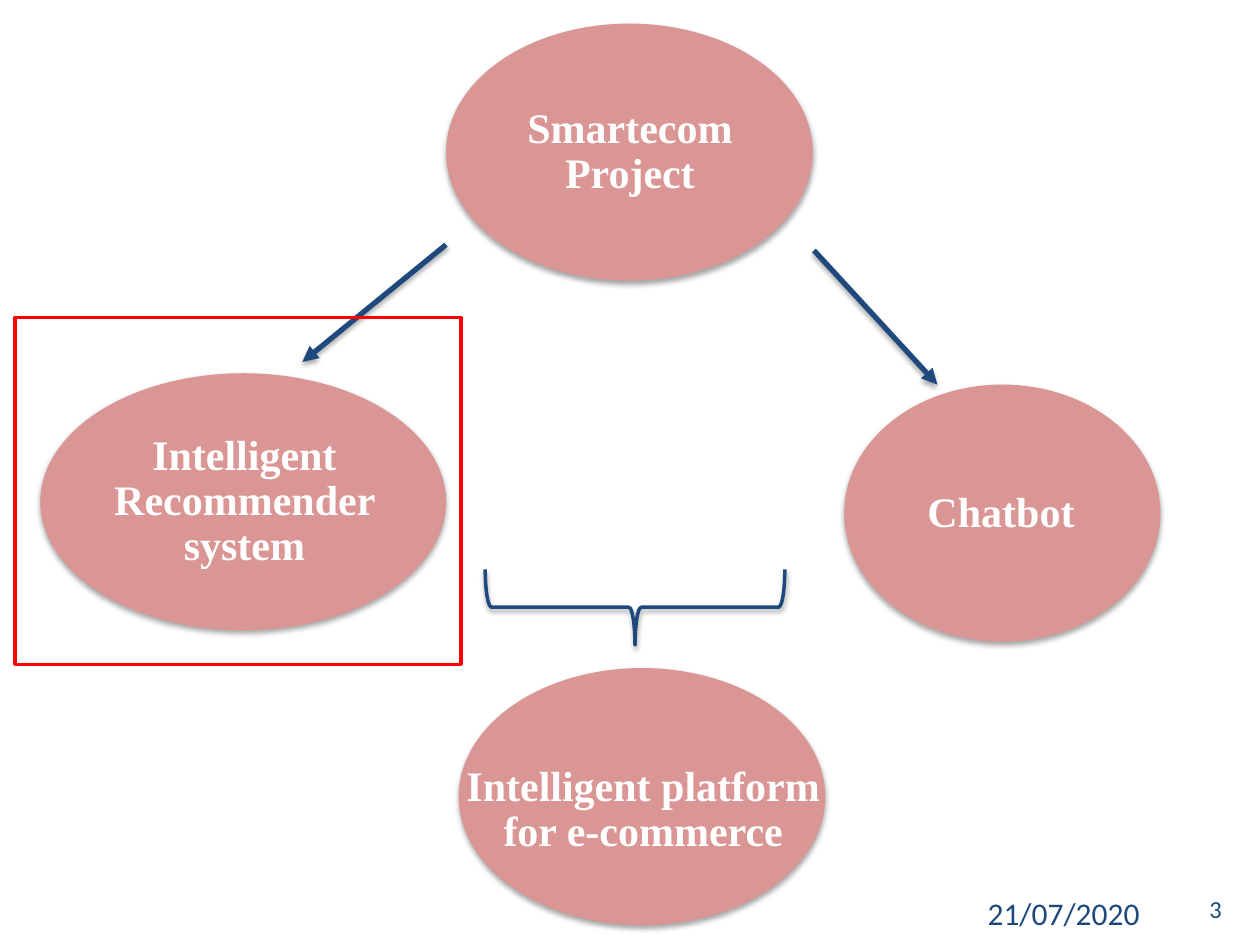
import lxml.etree
import pptx
import pptx.dml.color
import pptx.enum.shapes
import pptx.enum.text
import pptx.oxml.ns
import pptx.util

WIDTH = pptx.util.Inches(10)
HEIGHT = pptx.util.Inches(7.5)
SHAPES = pptx.enum.shapes.MSO_SHAPE
NAVY, ROSE, RED, WHITE = "1F497D", "D99694", "FF0000", "FFFFFF"
BUBBLE_FORMAT = {"name": "Times New Roman", "size": pptx.util.Pt(24), "bold": True}
BUBBLES = [
    ("Intelligent Recommender system", (3.2, 39.5, 32.2, 27.2), (8, 43.5, 22.8, 19.2)),
    ("Chatbot", (67, 40.7, 25.1, 27.2), (70.6, 47.1, 17.7, 14.5)),
    ("Smartecom Project", (35.4, 2.5, 29.1, 27.2), (39.7, 6.5, 20.6, 19.2)),
    ("Intelligent platform for e-commerce", (36.4, 70.7, 29.1, 27.2), (36.6, 77.7, 28.9, 16.1)),
]
ARROWS = [(35.4, 25.9, 24, 38.3), (64.6, 26.5, 74.4, 40.7)]
FOOTERS = [("3", (95, 93.9, 6, 4.5), 14), ("21/07/2020", (77.4, 93.9, 14.7, 5.3), 18)]


def color(value):
    """Turn a hex string into a colour."""
    return pptx.dml.color.RGBColor.from_string(value)


def place(shares):
    """Turn alternating percentages of slide width and height into lengths."""
    return [int(share * side / 100) for share, side in zip(shares, (WIDTH, HEIGHT) * 2)]


def add_child(parent, tag, **attributes):
    """Append a DrawingML element to a parent."""
    return lxml.etree.SubElement(parent, pptx.oxml.ns.qn(tag), attributes)


def add_shadow(shape):
    """Give a shape or connector a soft shadow falling downwards."""
    effects = add_child(shape._element.spPr, "a:effectLst")
    shadow = add_child(effects, "a:outerShdw", blurRad=str(pptx.util.Pt(3.1)),
                       dist=str(pptx.util.Pt(1.8)), dir="5400000", rotWithShape="0")
    add_child(add_child(shadow, "a:srgbClr", val="000000"), "a:alpha", val="35000")


def set_line(shape, value, points):
    """Set the colour and width of a line."""
    shape.line.color.rgb = color(value)
    shape.line.width = pptx.util.Pt(points)


def write(frame, text, value, font_format, frame_format, paragraph_format):
    """Write one formatted paragraph into a text frame."""
    paragraph = frame.paragraphs[0]
    run = paragraph.add_run()
    run.text = text
    run.font.color.rgb = color(value)
    for target, values in ((frame, frame_format), (paragraph, paragraph_format),
                           (run.font, font_format)):
        for name, setting in values.items():
            setattr(target, name, setting)


def add_bubble(slide, text, oval_shares, label_shares):
    """Add a grouped ellipse and its label."""
    group = slide.shapes.add_group_shape()
    oval = group.shapes.add_shape(SHAPES.OVAL, *place(oval_shares))
    oval.fill.solid()
    oval.fill.fore_color.rgb = color(ROSE)
    oval.line.fill.background()
    add_shadow(oval)
    label = group.shapes.add_textbox(*place(label_shares))
    frame_format = {"word_wrap": True, "vertical_anchor": pptx.enum.text.MSO_ANCHOR.MIDDLE}
    for side in ("left", "top", "right", "bottom"):
        frame_format["margin_" + side] = pptx.util.Inches(0.03)
    write(label.text_frame, text, WHITE, BUBBLE_FORMAT, frame_format,
          {"alignment": pptx.enum.text.PP_ALIGN.CENTER, "line_spacing": 0.9})


def add_arrow(slide, shares):
    """Add a straight arrow with a shadow."""
    arrow = slide.shapes.add_connector(
        pptx.enum.shapes.MSO_CONNECTOR.STRAIGHT, *place(shares))
    set_line(arrow, NAVY, 3)
    add_child(arrow.line._get_or_add_ln(), "a:tailEnd", type="triangle")
    add_shadow(arrow)


def add_outline(slide, kind, shares, value):
    """Add an unfilled shape with a coloured outline."""
    outline = slide.shapes.add_shape(kind, *place(shares))
    outline.fill.background()
    set_line(outline, value, 2)
    return outline


def add_footer(slide, text, shares, size):
    """Add a small text at the foot of the slide."""
    box = slide.shapes.add_textbox(*place(shares))
    write(box.text_frame, text, NAVY, {"name": "Calibri", "size": pptx.util.Pt(size)},
          {"word_wrap": True, "auto_size": pptx.enum.text.MSO_AUTO_SIZE.SHAPE_TO_FIT_TEXT}, {})


def main():
    """Build the project overview slide."""
    presentation = pptx.Presentation()
    presentation.slide_width, presentation.slide_height = WIDTH, HEIGHT
    slide = presentation.slides.add_slide(presentation.slide_layouts[6])
    for bubble in BUBBLES[:3]:
        add_bubble(slide, *bubble)
    for arrow in ARROWS:
        add_arrow(slide, arrow)
    add_bubble(slide, *BUBBLES[3])
    brace = add_outline(slide, SHAPES.LEFT_BRACE, (47.4, 48.4, 6, 31.7), NAVY)
    brace.rotation = 270
    add_shadow(brace)
    frame = add_outline(slide, SHAPES.RECTANGLE, (1.2, 33.6, 35.4, 36.7), RED)
    frame.shadow.inherit = False
    for footer in FOOTERS:
        add_footer(slide, *footer)
    presentation.save("out.pptx")


if __name__ == "__main__":
    main()
